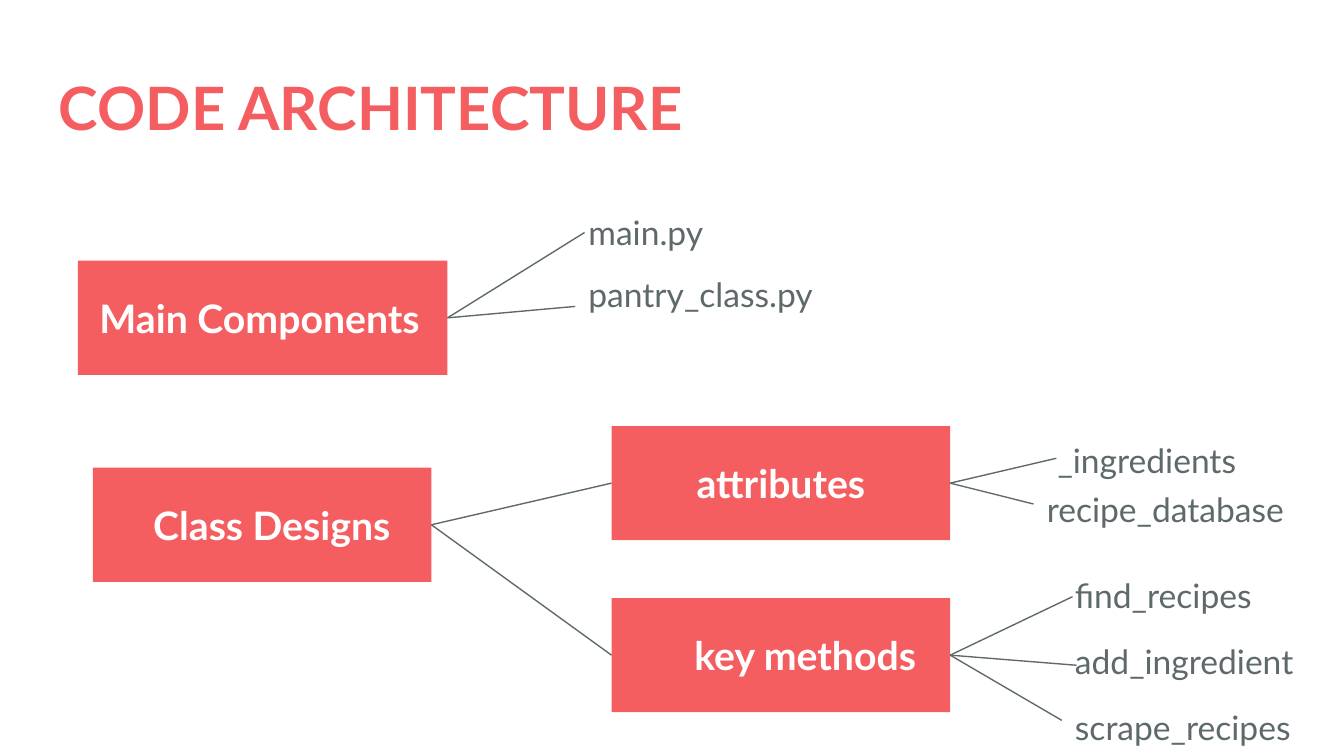
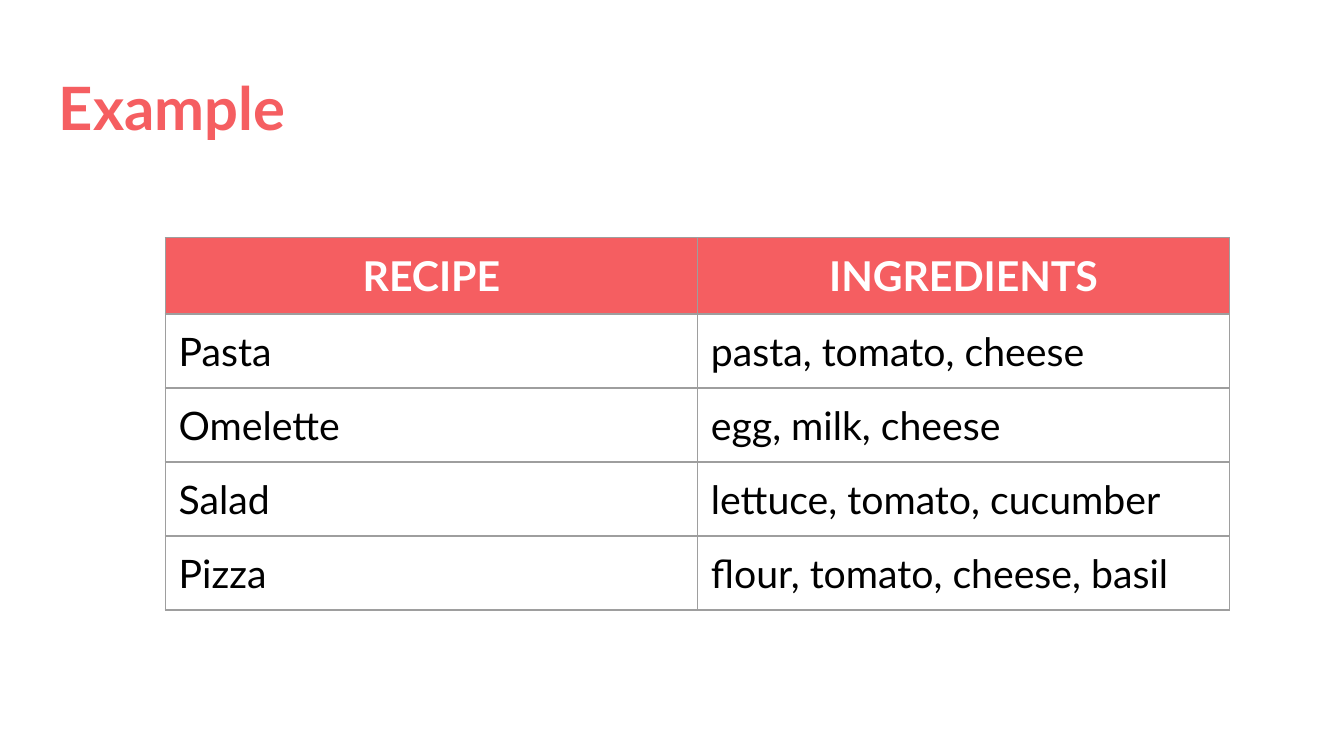
from dataclasses import dataclass

from lxml import etree
from pptx import Presentation
from pptx import util as u
from pptx.dml.color import RGBColor
from pptx.enum import shapes, text
from pptx.oxml import ns

LEFT, MID = text.PP_ALIGN.LEFT, text.PP_ALIGN.CENTER


@dataclass(frozen=True)
class Theme:
    font: str = "Lato"
    red: str = "F55E61"
    gray: str = "5E696C"
    rule: str = "9E9E9E"
    white: str = "FFFFFF"
    black: str = "000000"
    title: int = 32
    head: int = 22
    body: int = 21
    leaf: int = 18
    line: float = 0.75
    pad: float = 0.1


class Deck:
    def __init__(self, theme):
        self.theme = theme
        self.file = Presentation()
        self.file.slide_width = u.Inches(10)
        self.file.slide_height = u.Inches(5.625)
        self.slide = None

    def start(self, title):
        self.slide = self.file.slides.add_slide(self.file.slide_layouts[6])
        self.label(title, (0.34, 0.43, 9.32, 0.68), self.theme.title, self.theme.red, True)

    def add_run(self, para, words, size, color, bold=False, align=LEFT):
        para.alignment = align
        run = para.add_run()
        run.text = words
        font = run.font
        font.name, font.size, font.bold = self.theme.font, u.Pt(size), bold
        font.color.rgb = RGBColor.from_string(color)

    def inset(self, item, left=None):
        pad = u.Inches(self.theme.pad)
        item.margin_left = pad if left is None else u.Inches(left)
        item.margin_right = item.margin_top = item.margin_bottom = pad

    def label(self, words, area, size, color, bold=False):
        frame = self.slide.shapes.add_textbox(*map(u.Inches, area)).text_frame
        frame.word_wrap = True
        self.inset(frame)
        self.add_run(frame.paragraphs[0], words, size, color, bold)

    def box(self, words, area, left=None, align=LEFT):
        shape = self.slide.shapes.add_shape(shapes.MSO_SHAPE.RECTANGLE, *map(u.Inches, area))
        shape.shadow.inherit = False
        shape.fill.solid()
        shape.fill.fore_color.rgb = RGBColor.from_string(self.theme.red)
        shape.line.fill.background()
        frame = shape.text_frame
        frame.word_wrap = True
        frame.vertical_anchor = text.MSO_ANCHOR.MIDDLE
        self.inset(frame, left)
        self.add_run(frame.paragraphs[0], words, self.theme.body, self.theme.white, True, align)
        return shape

    def link(self, source, tip=(0, 0), target=None):
        x, y = map(u.Inches, tip)
        line = self.slide.shapes.add_connector(shapes.MSO_CONNECTOR.STRAIGHT, 0, 0, x, y)
        line.begin_connect(source, 3)
        if target is not None:
            line.end_connect(target, 1)
        line.line.width = u.Pt(self.theme.line)
        line.line.color.rgb = RGBColor.from_string(self.theme.gray)
        etree.SubElement(line._element.spPr, ns.qn("a:effectLst"))

    def leaves(self, source, items):
        for words, area, tip in items:
            self.label(words, area, self.theme.leaf, self.theme.gray)
            self.link(source, tip)

    def border(self, cell):
        props = cell._tc.get_or_add_tcPr()
        for side in "LRTB":
            edge = etree.SubElement(props, ns.qn(f"a:ln{side}"), w=str(u.Pt(self.theme.line)))
            fill = etree.SubElement(edge, ns.qn("a:solidFill"))
            etree.SubElement(fill, ns.qn("a:srgbClr"), val=self.theme.rule)

    def table(self, rows, left, top, width, height):
        count = len(rows)
        frame = self.slide.shapes.add_table(
            count, len(rows[0]), *map(u.Inches, (left, top, width, height * count)))
        grid = frame.table
        grid.horz_banding = False
        for r, row in enumerate(rows):
            for c, words in enumerate(row):
                cell = grid.cell(r, c)
                self.inset(cell)
                self.border(cell)
                para = cell.text_frame.paragraphs[0]
                if r == 0:
                    cell.fill.solid()
                    cell.fill.fore_color.rgb = RGBColor.from_string(self.theme.red)
                    self.add_run(para, words, self.theme.head, self.theme.white, True, MID)
                else:
                    cell.fill.background()
                    self.add_run(para, words, self.theme.body, self.theme.black)


def design(deck):
    deck.start("CODE ARCHITECTURE")
    wide, high = 2.52, 0.85
    group = deck.box("Class Designs", (0.69, 3.48, wide, high), left=0.45)
    main = deck.box("Main Components", (0.58, 1.94, 2.75, high), left=0.16)
    keys = deck.box("key methods", (4.55, 4.45, wide, high), left=0.46, align=MID)
    attrs = deck.box("attributes", (4.55, 3.17, wide, high), align=MID)
    for child in (attrs, keys):
        deck.link(group, target=child)
    deck.leaves(main, [
        ("main.py", (4.28, 1.48, 1.68, 0.68), (4.35, 1.73)),
        ("pantry_class.py", (4.28, 1.94, 1.98, 0.68), (4.28, 2.28)),
    ])
    deck.leaves(attrs, [
        ("_ingredients", (7.77, 3.17, 1.89, 0.42), (7.86, 3.41)),
        ("recipe_database", (7.69, 3.54, 2.31, 0.42), (7.69, 3.75)),
    ])
    tips = [
        ("find_recipes", (7.98, 4.44)),
        ("add_ingredient", (8.01, 4.95)),
        ("scrape_recipes", (7.9, 5.36)),
    ]
    deck.leaves(keys, [
        (words, (7.9, 4.18 + 0.49 * i, 1.89, 0.42), tip)
        for i, (words, tip) in enumerate(tips)
    ])


def example(deck):
    deck.start("Example")
    deck.table([
        ("RECIPE", "INGREDIENTS"),
        ("Pasta", "pasta, tomato, cheese"),
        ("Omelette", "egg, milk, cheese"),
        ("Salad", "lettuce, tomato, cucumber"),
        ("Pizza", "flour, tomato, cheese, basil"),
    ], 1.23, 1.77, 7.92, 0.42)


def main():
    deck = Deck(Theme())
    design(deck)
    example(deck)
    deck.file.save("out.pptx")


if __name__ == "__main__":
    main()
